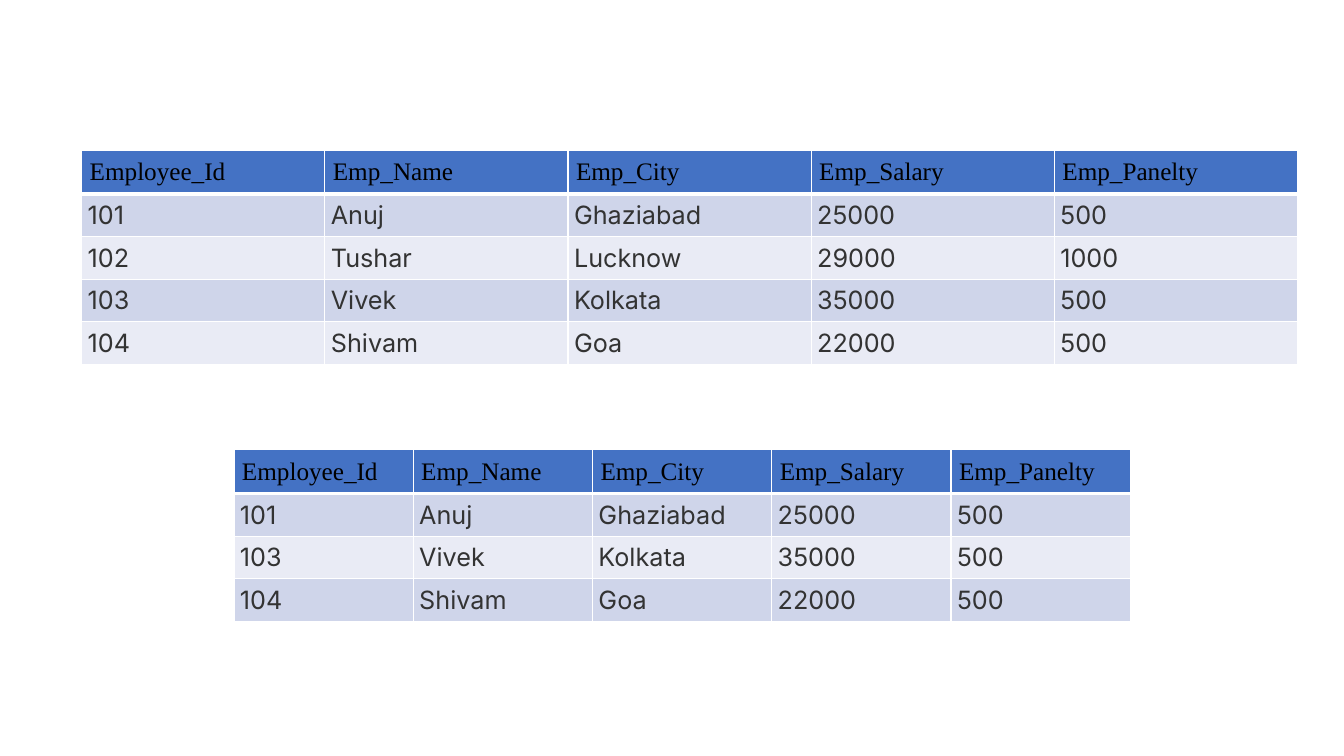
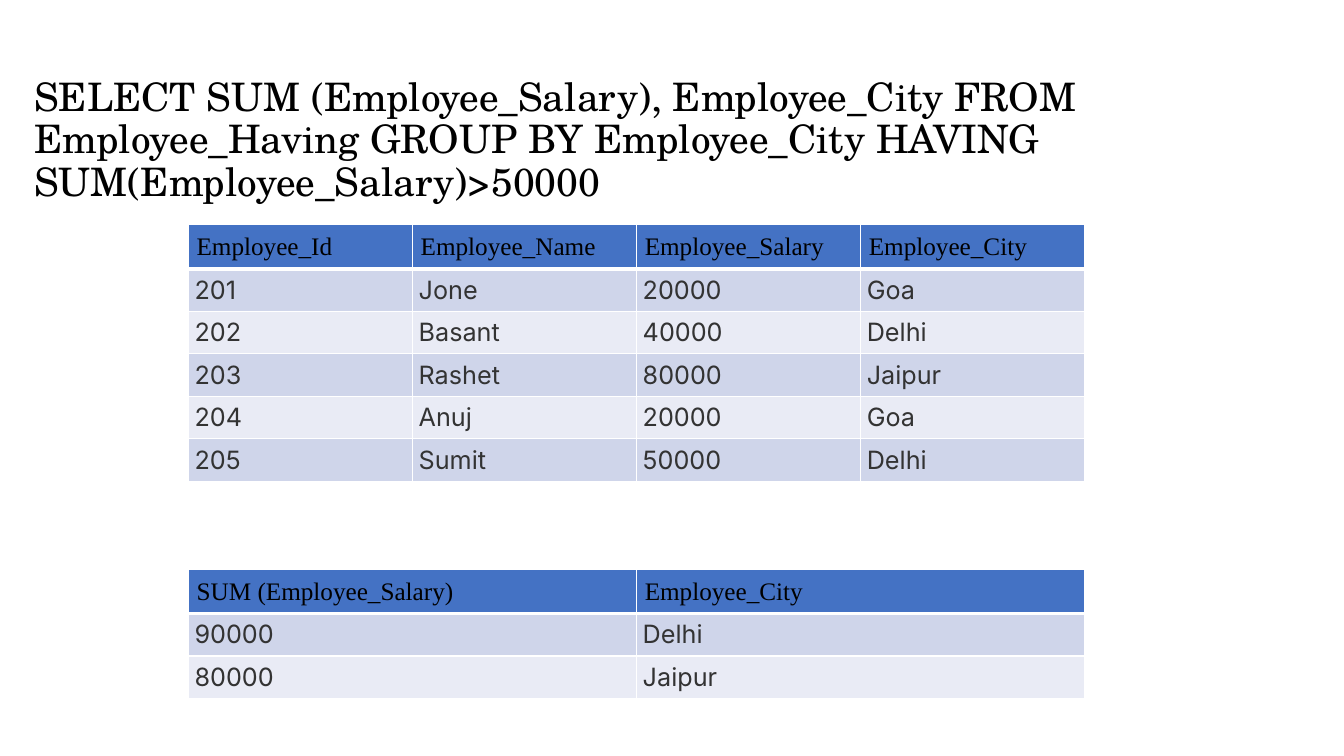
from lxml.etree import SubElement
from pptx import Presentation
from pptx.dml.color import RGBColor
from pptx.enum.text import MSO_ANCHOR, MSO_AUTO_SIZE, PP_ALIGN
from pptx.oxml import parse_xml
from pptx.oxml.ns import nsdecls, qn
from pptx.util import Pt

# Shared scale, colours and fonts
EMU_PER_PX = 9144  # 100 px to the inch
HEADER_ROW, BODY_ROW = 43, 41
HEADER_INSET, BODY_INSET = 8, 6
BLACK, DARK, WHITE = "000000", "333333", "FFFFFF"
HEADER_FILL = "4472C4"
BANDS = ("CFD5EA", "E9EBF5")
HEADER_FONT, BODY_FONT, QUERY_FONT = "Times New Roman", "Inter", "TeX Gyre Schola"

# Slide content
EMPLOYEES = [
    ("Employee_Id", "Emp_Name", "Emp_City", "Emp_Salary", "Emp_Panelty"),
    ("101", "Anuj", "Ghaziabad", "25000", "500"),
    ("102", "Tushar", "Lucknow", "29000", "1000"),
    ("103", "Vivek", "Kolkata", "35000", "500"),
    ("104", "Shivam", "Goa", "22000", "500"),
]
PENALTY_500 = [row for row in EMPLOYEES if row[-1] != "1000"]

QUERY = ("SELECT SUM (Employee_Salary), Employee_City FROM Employee_Having "
         "GROUP BY Employee_City HAVING SUM(Employee_Salary)>50000")
EMPLOYEE_HAVING = [
    ("Employee_Id", "Employee_Name", "Employee_Salary", "Employee_City"),
    ("201", "Jone", "20000", "Goa"),
    ("202", "Basant", "40000", "Delhi"),
    ("203", "Rashet", "80000", "Jaipur"),
    ("204", "Anuj", "20000", "Goa"),
    ("205", "Sumit", "50000", "Delhi"),
]
CITY_TOTALS = [
    ("SUM (Employee_Salary)", "Employee_City"),
    ("90000", "Delhi"),
    ("80000", "Jaipur"),
]


def px(n):
    return n * EMU_PER_PX


def rgb(value):
    return RGBColor.from_string(value)


def set_font(p, name, size, color):
    p.font.name = name
    p.font.size = Pt(size)
    p.font.color.rgb = rgb(color)


def set_borders(cell, bottom):
    """White rules on all four sides, the bottom one of its own width."""
    tc_pr = cell._tc.get_or_add_tcPr()
    for i, (side, width) in enumerate(zip("LRTB", (1, 1, 1, bottom))):
        tc_pr.insert(i, parse_xml(
            f'<a:ln{side} {nsdecls("a")} w="{Pt(width)}"><a:solidFill>'
            f'<a:srgbClr val="{WHITE}"/></a:solidFill></a:ln{side}>'))


def style_cell(cell, text, row):
    header = row == 0
    cell.text = text
    inset = px(HEADER_INSET if header else BODY_INSET)
    cell.margin_left = cell.margin_right = inset
    cell.margin_top = cell.margin_bottom = inset
    cell.fill.solid()
    cell.fill.fore_color.rgb = rgb(HEADER_FILL if header else BANDS[(row - 1) % 2])
    set_borders(cell, 3 if header else 1)
    p = cell.text_frame.paragraphs[0]
    if header:
        set_font(p, HEADER_FONT, 18, BLACK)
    else:
        p.alignment = PP_ALIGN.JUSTIFY
        set_font(p, BODY_FONT, 18, DARK)


def add_data_table(slide, left, top, width, rows):
    """Header row over banded rows, with equal columns."""
    height = HEADER_ROW + BODY_ROW * (len(rows) - 1)
    table = slide.shapes.add_table(
        len(rows), len(rows[0]), px(left), px(top), px(width), px(height)).table
    table.first_row = table.horz_banding = False
    for r, values in enumerate(rows):
        table.rows[r].height = px(BODY_ROW if r else HEADER_ROW)
        for c, value in enumerate(values):
            style_cell(table.cell(r, c), value, r)


def place_query(slide, left, top, width, height):
    """Query text in the body placeholder, without a bullet."""
    sp = slide.placeholders[1]
    sp.left, sp.top, sp.width, sp.height = map(px, (left, top, width, height))
    tf = sp.text_frame
    tf.text = QUERY
    tf.word_wrap = True
    tf.auto_size = MSO_AUTO_SIZE.NONE
    tf.vertical_anchor = MSO_ANCHOR.TOP
    p = tf.paragraphs[0]
    p.line_spacing = 0.9
    p.space_before = Pt(10)
    set_font(p, QUERY_FONT, 28, BLACK)
    p_pr = p._p.get_or_add_pPr()
    p_pr.set("marL", "0")
    p_pr.set("indent", "0")
    p_pr.insert_element_before(SubElement(p_pr, qn("a:buNone")), "a:defRPr")


def employee_slide(prs):
    slide = prs.slides.add_slide(prs.slide_layouts[6])
    add_data_table(slide, 81, 149, 1206, EMPLOYEES)
    add_data_table(slide, 232, 446, 889, PENALTY_500)


def having_slide(prs):
    slide = prs.slides.add_slide(prs.slide_layouts[1])
    title = slide.shapes.title._element
    title.getparent().remove(title)
    place_query(slide, 24, 72, 1293, 162)
    add_data_table(slide, 187, 223, 889, EMPLOYEE_HAVING)
    add_data_table(slide, 187, 565, 889, CITY_TOTALS)


def main():
    prs = Presentation()
    prs.slide_width, prs.slide_height = px(1333), px(750)
    employee_slide(prs)
    having_slide(prs)
    prs.save("out.pptx")


if __name__ == "__main__":
    main()
